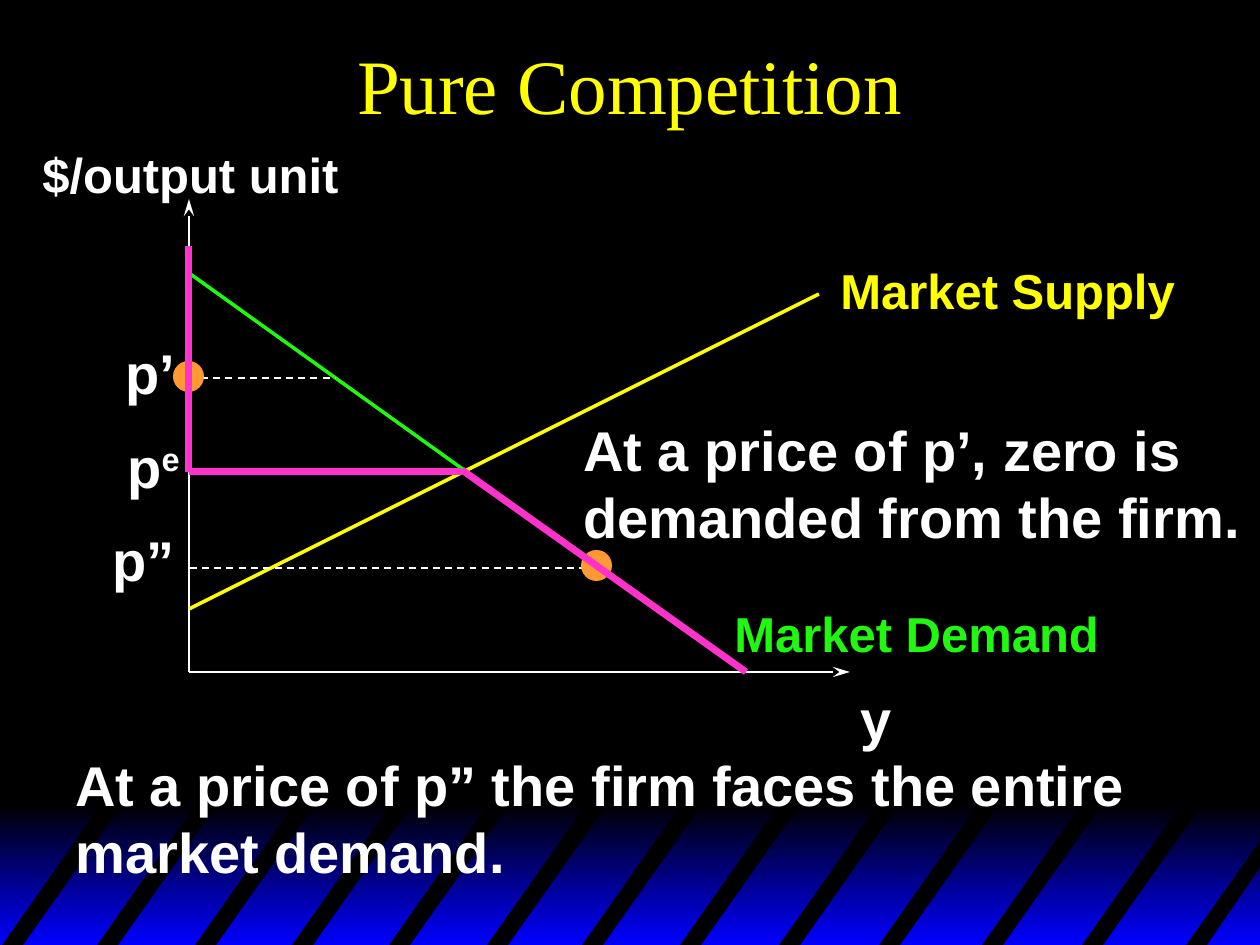
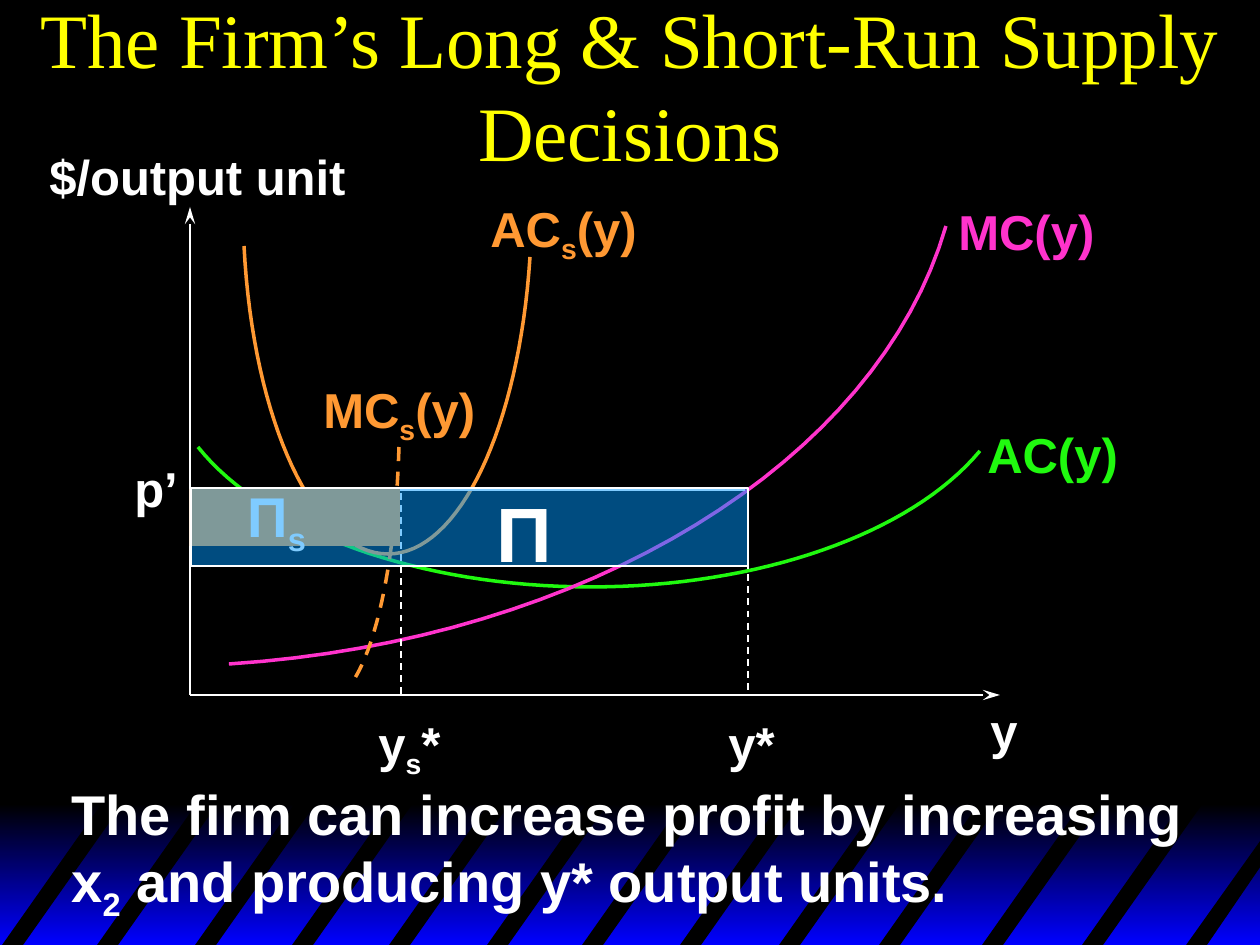
"""Build two slides on a firm's demand and its supply decisions."""
from lxml.etree import SubElement
from pptx import Presentation
from pptx.dml.color import RGBColor
from pptx.enum.dml import MSO_LINE
from pptx.enum.shapes import MSO_CONNECTOR, MSO_SHAPE
from pptx.enum.text import MSO_ANCHOR, MSO_AUTO_SIZE, PP_ALIGN
from pptx.oxml.ns import qn
from pptx.util import Inches, Pt

PX = 7257
BLACK = RGBColor(0x00, 0x00, 0x00)
BLUE = RGBColor(0x00, 0x00, 0xFF)
WHITE = RGBColor(0xFF, 0xFF, 0xFF)
YELLOW = RGBColor(0xFF, 0xFF, 0x00)
GREEN = RGBColor(0x20, 0xF9, 0x0F)
PINK = RGBColor(0xFF, 0x33, 0xCC)
ORANGE = RGBColor(0xFF, 0x99, 0x33)
SKY = RGBColor(0x00, 0x99, 0xFF)
TITLE_FONT = {"name": "Times New Roman", "size": Pt(44), "bold": False}
LABEL_FONT = {"name": "Arial", "size": Pt(28), "bold": True}
STRIPE_LEFTS = (0, 95, 193, 290, 387, 485, 580, 678, 777, 877, 980, 1080)
STRIPES = [((x, 948), (x + 105, 799), (x + 126, 799), (x + 21, 948))
           for x in STRIPE_LEFTS]
STRIPES.append(((1184, 948), (1263, 837), (1263, 863), (1205, 948)))
CURVE_STEPS = 32


def draw_line(slide, ends, color, width=1, dash=None, arrow=False):
    line = slide.shapes.add_connector(
        MSO_CONNECTOR.STRAIGHT, *[value * PX for value in ends])
    line.line.color.rgb = color
    line.line.width = Pt(width)
    line.line.dash_style = dash
    properties = line._element.spPr
    if arrow:
        SubElement(properties.find(qn("a:ln")), qn("a:tailEnd"),
                   type="stealth", w="med", len="lg")
    SubElement(properties, qn("a:effectLst"))


def write(slide, text, box, color=WHITE, size=28, shift=-25000,
          font_format=LABEL_FONT):
    frame = slide.shapes.add_textbox(*[value * PX for value in box]).text_frame
    frame.word_wrap = True
    frame.auto_size = MSO_AUTO_SIZE.SHAPE_TO_FIT_TEXT
    paragraph = frame.paragraphs[0]
    for row, row_text in enumerate(text.split("\n")):
        if row:
            paragraph.add_line_break()
        for position, piece in enumerate(row_text.split("|")):
            run = paragraph.add_run()
            run.text = piece
            for key, value in (font_format | {"size": Pt(size)}).items():
                setattr(run.font, key, value)
            run.font.color.rgb = color
            if position % 2:
                run.font._element.set("baseline", str(shift))
    return frame


deck = Presentation()
deck.slide_width, deck.slide_height = Inches(10), Inches(7.5)
backdrop = deck.slide_master.background.fill
backdrop.solid()
backdrop.fore_color.rgb = BLACK

for title in ("Pure Competition", "The Firm’s Long & Short-Run Supply Decisions"):
    slide = deck.slides.add_slide(deck.slide_layouts[6])
    band = slide.shapes.add_shape(
        MSO_SHAPE.RECTANGLE, 0, 804 * PX, 1260 * PX, 141 * PX)
    band.shadow.inherit = False
    band.line.fill.background()
    band.fill.gradient()
    band.fill.gradient_angle = 270
    for stop, color, place in zip(band.fill.gradient_stops, (BLACK, BLUE), (0, 1)):
        stop.color.rgb = color
        stop.position = place
    for corners in STRIPES:
        points = [(x * PX, y * PX) for x, y in corners]
        outline = slide.shapes.build_freeform(*points[0])
        outline.add_line_segments(points[1:], close=True)
        stripe = outline.convert_to_shape()
        stripe.shadow.inherit = False
        stripe.fill.solid()
        stripe.fill.fore_color.rgb = BLACK
        stripe.line.fill.background()
    heading = write(slide, title, (0, 0, 1260, 168), YELLOW, 44,
                    font_format=TITLE_FONT)
    heading.auto_size = MSO_AUTO_SIZE.NONE
    heading.vertical_anchor = MSO_ANCHOR.MIDDLE
    heading.paragraphs[0].alignment = PP_ALIGN.CENTER

competition, decisions = deck.slides

for slide, left, base, top, right in (
        (competition, 189, 672, 199, 850), (decisions, 190, 695, 207, 1000)):
    draw_line(slide, (left, base, left, top), WHITE, arrow=True)
    draw_line(slide, (left, base, right, base), WHITE, arrow=True)

draw_line(competition, (189, 273, 746, 672), GREEN, 2)
draw_line(competition, (189, 609, 819, 294), YELLOW, 2)
for price_level in ((462, 472, 189, 472), (189, 378, 336, 378), (190, 568, 595, 568)):
    draw_line(competition, price_level, WHITE, dash=MSO_LINE.DASH)

for left, top in ((173, 361), (581, 550)):
    dot = competition.shapes.add_shape(
        MSO_SHAPE.OVAL, left * PX, top * PX, 31 * PX, 31 * PX)
    dot.shadow.inherit = False
    dot.fill.solid()
    dot.fill.fore_color.rgb = ORANGE
    dot.line.fill.background()

write(competition, "y", (848, 678, 70, 79), size=32)
write(competition, "$/output unit", (30, 138, 340, 72))
write(competition, "Market Supply", (828, 254, 380, 72), YELLOW)
write(competition, "p|e", (115, 426, 95, 79), size=32, shift=30000)
write(competition, "p’", (113, 332, 95, 79), size=32)
write(competition, "p”", (100, 519, 105, 79), size=32)
write(competition, "At a price of p” the firm faces the entire market demand.",
      (63, 744, 1197, 147), size=32)
write(competition, "At a price of p’, zero is demanded from the firm.",
      (571, 409, 689, 147), size=32)
write(competition, "Market Demand", (722, 597, 410, 72), GREEN)

for firm_demand in ((462, 470, 746, 672), (462, 472, 189, 472), (189, 472, 189, 246)):
    draw_line(competition, firm_demand, PINK, 4)

COST_CURVES = (
    (GREEN, None, ((980, 451), (911, 534), (759, 587), (591, 587),
                   (420, 587), (266, 532), (198, 447))),
    (PINK, None, ((946, 226), (878, 462), (586, 641), (229, 664))),
    (ORANGE, None, ((530, 257), (519, 428), (459, 554), (388, 554),
                    (315, 554), (253, 422), (244, 246))),
    (ORANGE, MSO_LINE.DASH, ((399, 447), (396, 551), (379, 638), (355, 678))),
)
for color, dash, controls in COST_CURVES:
    points = [(controls[0][0] * PX, controls[0][1] * PX)]
    for first in range(0, len(controls) - 1, 3):
        for step in range(1, CURVE_STEPS + 1):
            t = step / CURVE_STEPS
            weights = ((1 - t) ** 3, 3 * t * (1 - t) ** 2, 3 * t * t * (1 - t), t ** 3)
            points.append([
                round(PX * sum(w * c[axis] for w, c in
                               zip(weights, controls[first:first + 4])))
                for axis in (0, 1)])
    outline = decisions.shapes.build_freeform(*points[0])
    outline.add_line_segments(points[1:], close=False)
    cost = outline.convert_to_shape()
    cost.shadow.inherit = False
    cost.fill.background()
    cost.line.color.rgb = color
    cost.line.width = Pt(2)
    cost.line.dash_style = dash

draw_line(decisions, (190, 489, 745, 489), WHITE, 2)
draw_line(decisions, (748, 489, 748, 692), WHITE, dash=MSO_LINE.DASH)
draw_line(decisions, (401, 493, 401, 695), WHITE, dash=MSO_LINE.DASH)

write(decisions, "MC(y)", (946, 195, 180, 72), PINK)
write(decisions, "AC(y)", (975, 418, 175, 72), GREEN)
write(decisions, "y", (978, 694, 70, 72))
write(decisions, "$/output unit", (37, 140, 340, 72))
write(decisions, "AC|s|(y)", (478, 192, 190, 79), ORANGE)
write(decisions, "MC|s|(y)", (311, 373, 195, 79), ORANGE)
write(decisions, "p’", (122, 452, 85, 72))
write(decisions, "y|s|*", (366, 707, 105, 79))
write(decisions, "y*", (716, 707, 90, 72))
write(decisions, "The firm can increase profit by increasing\n"
      "x|2| and producing y* output units.", (59, 773, 1170, 156), size=32)

PROFITS = (
    ((190, 489, 210, 57), ORANGE, None, "Π|s", (235, 475, 105, 89), 32),
    ((191, 488, 557, 78), SKY, 50000, "Π", (484, 479, 105, 105), 44),
)
for area, color, alpha, symbol, symbol_box, size in PROFITS:
    profit = decisions.shapes.add_shape(
        MSO_SHAPE.RECTANGLE, *[value * PX for value in area])
    profit.shadow.inherit = False
    profit.fill.solid()
    profit.fill.fore_color.rgb = color
    profit.line.fill.background()
    if alpha:
        tint = profit._element.spPr.find(qn("a:solidFill")).find(qn("a:srgbClr"))
        SubElement(tint, qn("a:alpha"), val=str(alpha))
        profit.line.color.rgb = WHITE
        profit.line.width = Pt(1)
    write(decisions, symbol, symbol_box, size=size)

deck.save("out.pptx")
